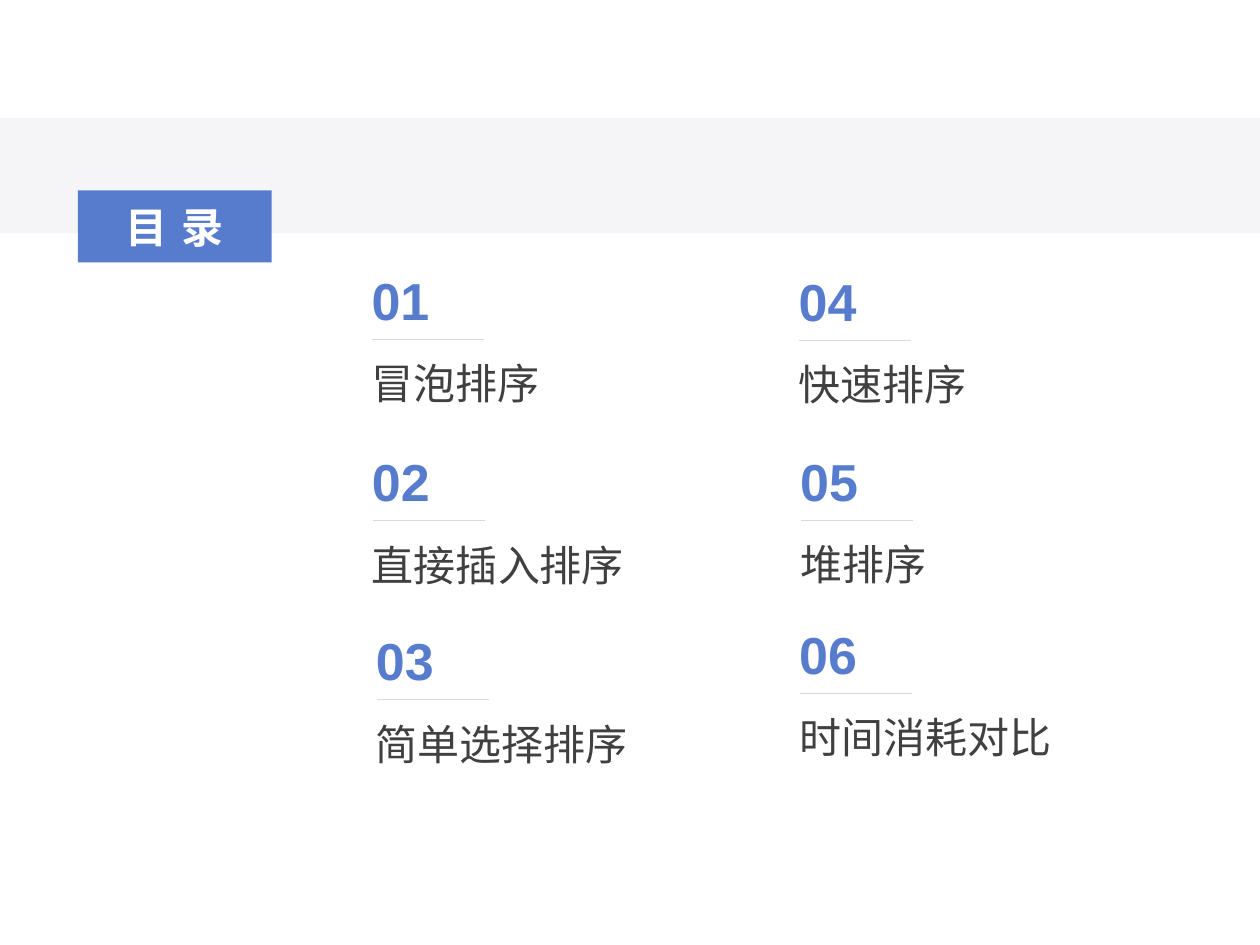
from dataclasses import dataclass

from lxml import etree
from pptx import Presentation
from pptx.dml.color import RGBColor
from pptx.enum.shapes import MSO_CONNECTOR, MSO_SHAPE
from pptx.enum.text import MSO_ANCHOR, PP_ALIGN
from pptx.oxml.ns import qn
from pptx.shapes.autoshape import Shape
from pptx.slide import Slide
from pptx.text.text import _Paragraph, _Run
from pptx.util import Cm, Pt

RECTANGLE = MSO_SHAPE.RECTANGLE
STRAIGHT = MSO_CONNECTOR.STRAIGHT
MIDDLE = MSO_ANCHOR.MIDDLE
CENTER = PP_ALIGN.CENTER
JUSTIFY = PP_ALIGN.JUSTIFY


@dataclass(frozen=True)
class Theme:
    font: str = "Arial"
    accent: str = "577CCE"
    band: str = "F5F5F8"
    rule: str = "D9D9D9"
    body: str = "404040"
    white: str = "FFFFFF"
    text_size: float = 24
    number_size: float = 29.7
    rule_width: float = 0.5


@dataclass(frozen=True)
class Topic:
    number: str
    title: str
    left: float
    top: float


THEME = Theme()
TITLE_DROP = 1.3
RULE_DROP = 1.56
RULE_INDENT = 0.26
RULE_LENGTH = 2.26

TOPICS = (
    Topic("01", "冒泡排序", 7.24, 5.28),
    Topic("02", "直接插入排序", 7.25, 8.94),
    Topic("03", "简单选择排序", 7.33, 12.55),
    Topic("04", "快速排序", 15.85, 5.3),
    Topic("05", "堆排序", 15.88, 8.93),
    Topic("06", "时间消耗对比", 15.86, 12.42),
)


def add_span(para: _Paragraph, text: str, size: float, color: str, bold: bool = False) -> _Run:
    span = para.add_run()
    span.text = text
    span.font.name = THEME.font
    span.font.size = Pt(size)
    span.font.bold = bold
    span.font.color.rgb = RGBColor.from_string(color)
    return span


def add_block(page: Slide, left: float, top: float, width: float, height: float, color: str) -> Shape:
    block = page.shapes.add_shape(RECTANGLE, Cm(left), Cm(top), Cm(width), Cm(height))
    block.shadow.inherit = False
    block.fill.solid()
    block.fill.fore_color.rgb = RGBColor.from_string(color)
    block.line.fill.background()
    return block


def add_rule(page: Slide, left: float, top: float) -> None:
    rule = page.shapes.add_connector(STRAIGHT, Cm(left + RULE_LENGTH), Cm(top), Cm(left), Cm(top))
    rule.line.color.rgb = RGBColor.from_string(THEME.rule)
    rule.line.width = Pt(THEME.rule_width)
    etree.SubElement(rule._element.spPr, qn("a:effectLst"))


def add_topic(page: Slide, topic: Topic) -> None:
    title_box = page.shapes.add_textbox(Cm(topic.left), Cm(topic.top + TITLE_DROP), Cm(6.76), Cm(1.28))
    title_box.text_frame.word_wrap = True
    para = title_box.text_frame.paragraphs[0]
    para.alignment = JUSTIFY
    para.line_spacing = 1.5
    para.space_after = Pt(20)
    add_span(para, topic.title, THEME.text_size, THEME.body)

    number_box = page.shapes.add_textbox(Cm(topic.left), Cm(topic.top), Cm(1.7), Cm(1.6))
    number_box.text_frame.word_wrap = False
    add_span(number_box.text_frame.paragraphs[0], topic.number, THEME.number_size, THEME.accent, True)

    add_rule(page, topic.left + RULE_INDENT, topic.top + RULE_DROP)


def add_heading(page: Slide, text: str) -> None:
    block = add_block(page, 1.57, 3.84, 3.91, 1.45, THEME.accent)
    frame = block.text_frame
    frame.vertical_anchor = MIDDLE
    frame.margin_left = frame.margin_right = Cm(0.18)
    frame.margin_top = frame.margin_bottom = Cm(0.1)
    para = frame.paragraphs[0]
    para.alignment = CENTER
    span = add_span(para, text, THEME.text_size, THEME.white, True)
    span.font._element.set("spc", "800")


def main() -> None:
    deck = Presentation()
    deck.slide_width, deck.slide_height = Cm(25.4), Cm(19.05)
    page = deck.slides.add_slide(deck.slide_layouts[6])
    add_block(page, 0, 2.38, 25.4, 2.32, THEME.band)
    for topic in TOPICS:
        add_topic(page, topic)
    add_heading(page, "目录")
    deck.save("out.pptx")


if __name__ == "__main__":
    main()
